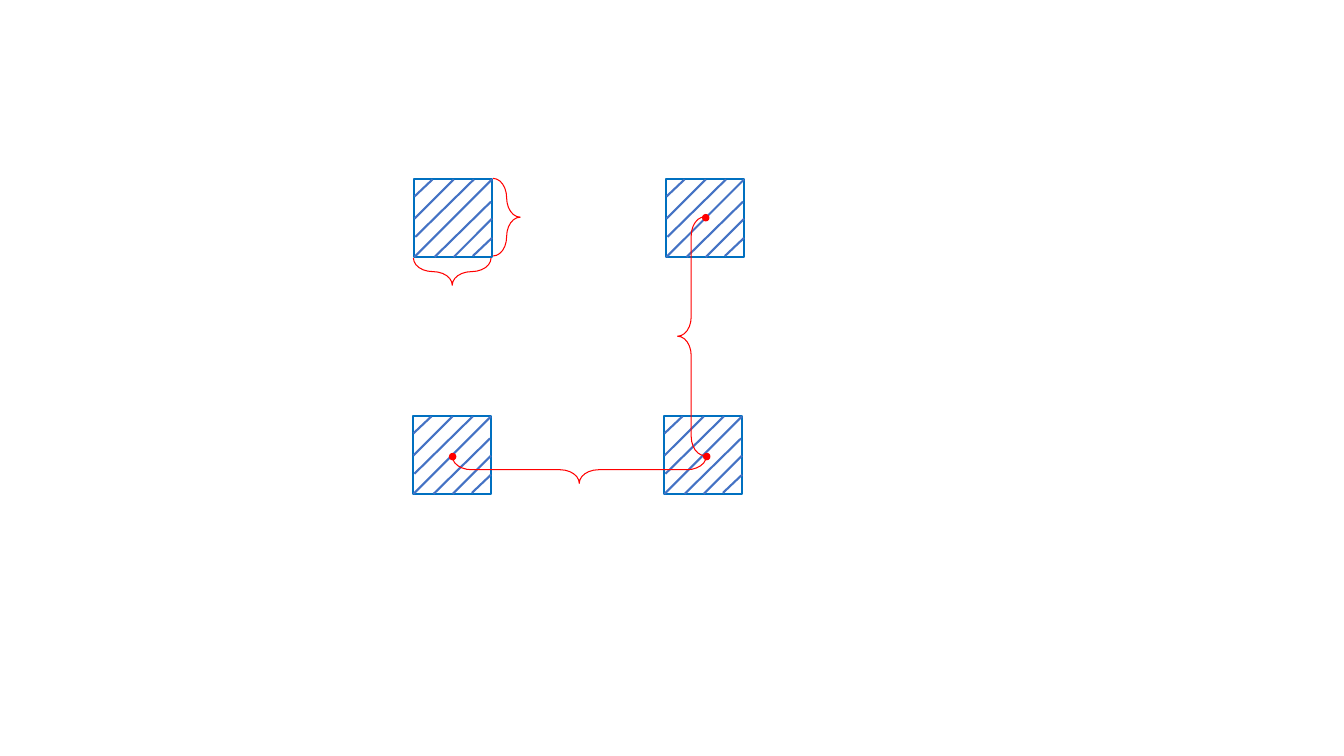
from pptx import Presentation
from pptx import util as u
from pptx.dml.color import RGBColor
from pptx.enum import shapes
from pptx.oxml.ns import qn
from lxml import etree

OUTLINE_BLUE = RGBColor(0x00, 0x70, 0xC0)
HATCH_BLUE = RGBColor(0x44, 0x72, 0xC4)
RED = RGBColor(0xFF, 0x00, 0x00)

SIDE = 0.77
BRACE_DEPTH = 0.27
DOT_SIZE = 0.06
SQUARES = [(4.1, 4.13), (6.59, 4.13), (6.61, 1.78), (4.11, 1.78)]
HATCHES = [
    (0, 0.17, 0.18, 0),
    (0, 0.39, 0.39, 0),
    (0.01, 0.57, 0.59, 0),
    (0, 0.77, 0.77, 0),
    (0.2, 0.77, 0.76, 0.22),
    (0.39, 0.77, 0.77, 0.39),
    (0.58, 0.76, 0.77, 0.58),
]
BRACES = [
    (4.35, 2.31, 0.77, 90),
    (4.89, 1.77, 0.77, 0),
    (6.72, 2.15, 2.37, 180),
    (5.61, 3.4, 2.52, 90),
]
DOTS = [(6.97, 2.13), (6.98, 4.5), (4.46, 4.5)]


def add_figure(owner, kind, left, top, width, height, color, weight, filled=False):
    figure = owner.add_shape(kind, u.Inches(left), u.Inches(top), u.Inches(width), u.Inches(height))
    figure.shadow.inherit = False
    if filled:
        figure.fill.solid()
        figure.fill.fore_color.rgb = color
    else:
        figure.fill.background()
    figure.line.color.rgb = color
    figure.line.width = u.Pt(weight)
    return figure


def add_hatch(owner, *ends):
    hatch = owner.add_connector(shapes.MSO_CONNECTOR.STRAIGHT, *map(u.Inches, ends))
    hatch.line.color.rgb = HATCH_BLUE
    hatch.line.width = u.Pt(1.5)
    etree.SubElement(hatch._element.spPr, qn("a:effectLst"))


def add_hatched_square(page, left, top):
    group = page.shapes.add_group_shape().shapes
    add_figure(group, shapes.MSO_SHAPE.RECTANGLE, left, top, SIDE, SIDE, OUTLINE_BLUE, 1.5)
    for x1, y1, x2, y2 in HATCHES:
        add_hatch(group, left + x1, top + y1, left + x2, top + y2)


def add_brace(page, left, top, length, rotation):
    brace = add_figure(page.shapes, shapes.MSO_SHAPE.RIGHT_BRACE, left, top, BRACE_DEPTH, length, RED, 0.75)
    brace.adjustments[0] = 0.71
    brace.adjustments[1] = 0.5
    brace.rotation = rotation


def main():
    deck = Presentation()
    deck.slide_width = u.Inches(13.33)
    deck.slide_height = u.Inches(7.5)
    page = deck.slides.add_slide(deck.slide_layouts[6])
    for left, top in SQUARES:
        add_hatched_square(page, left, top)
    for brace in BRACES:
        add_brace(page, *brace)
    for left, top in DOTS:
        add_figure(page.shapes, shapes.MSO_SHAPE.OVAL, left, top, DOT_SIZE, DOT_SIZE, RED, 1, filled=True)
    deck.save("out.pptx")


if __name__ == "__main__":
    main()
